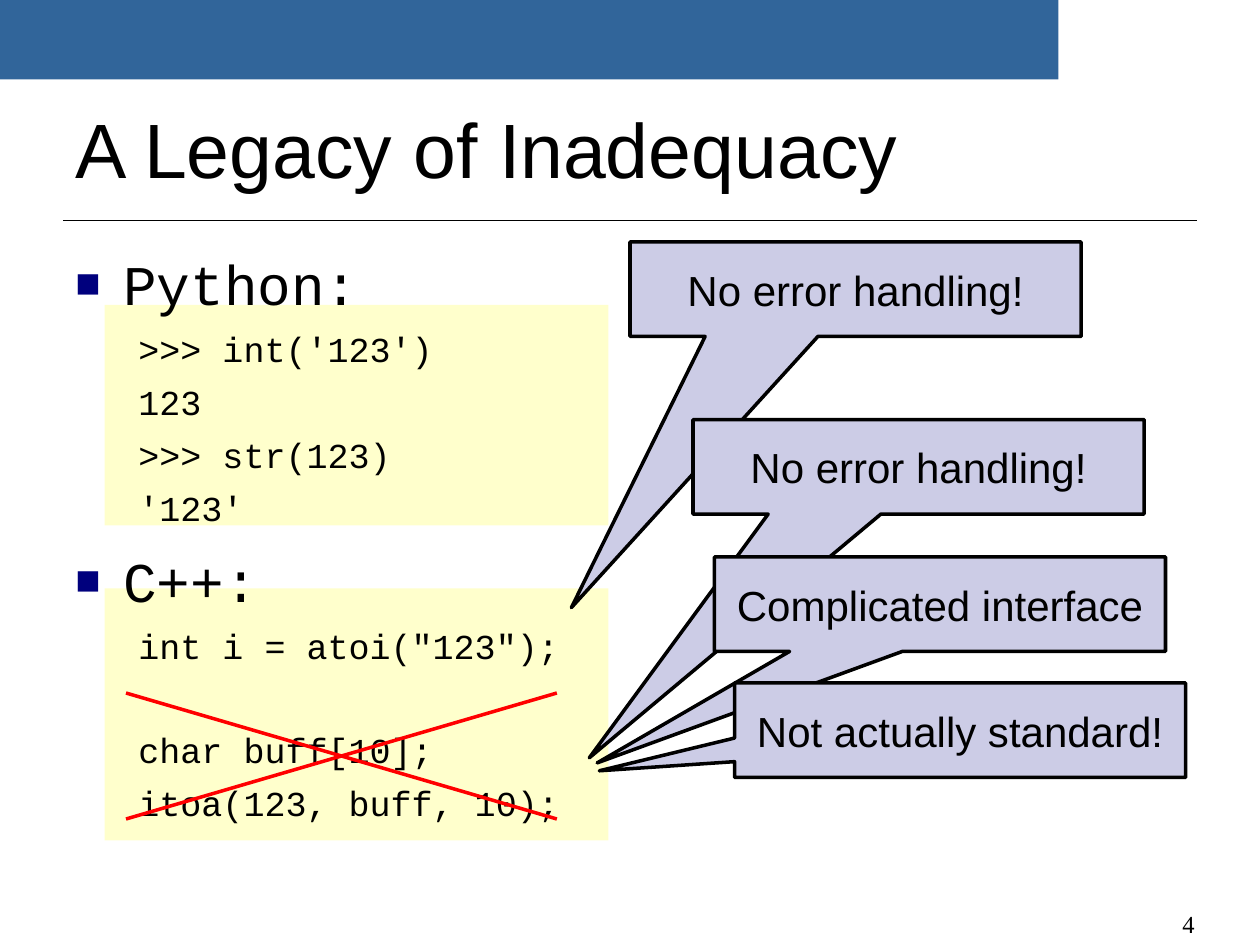
import pptx
import pptx.dml.color
import pptx.enum.shapes
import pptx.enum.text
import pptx.oxml.ns
import pptx.util
from pptx.util import Inches

SHAPE = pptx.enum.shapes.MSO_SHAPE
ALIGN = pptx.enum.text.PP_ALIGN
ANCHOR = pptx.enum.text.MSO_ANCHOR
BLACK = "000000"
LABEL = {"size": 32, "name": "Courier New"}
CODE = {"size": 20, "name": "Courier New"}
CODE_GAP = 6.3
CODE_LINE = 29

# Kind of line, text, space before in points
LISTING = [
    ("label", "Python:", 0),
    ("code", ">>> int('123')", CODE_GAP),
    ("code", "123", CODE_GAP),
    ("code", ">>> str(123)", CODE_GAP),
    ("code", "'123'", CODE_GAP),
    ("label", "C++:", 10),
    ("code", 'int i = atoi("123");', CODE_GAP),
    ("code", "char buff[10];", CODE_GAP + CODE_LINE),
    ("code", "itoa(123, buff, 10);", CODE_GAP),
]

# Text, left, top, and pointer tip relative to the callout's centre
CALLOUTS = [
    ("No error handling!", 5, 1.92, (-0.63, 3.37)),
    ("No error handling!", 5.5, 3.33, (-0.73, 3.08)),
    ("Complicated interface", 5.67, 4.42, (-0.76, 1.68)),
    ("Not actually standard!", 5.83, 5.42, (-0.8, 0.43)),
]


def rgb(value):
    return pptx.dml.color.RGBColor.from_string(value)


def set_font(p, size, name, color=BLACK):
    values = {"size": pptx.util.Pt(size), "name": name, "bold": False}
    for r in p.runs:
        for key, value in values.items():
            setattr(r.font, key, value)
        r.font.color.rgb = rgb(color)


def write(sp, text, size, name, align, anchor):
    tf = sp.text_frame
    frame = {"text": text, "word_wrap": True, "vertical_anchor": anchor,
             "auto_size": pptx.enum.text.MSO_AUTO_SIZE.NONE}
    for key, value in frame.items():
        setattr(tf, key, value)
    p = tf.paragraphs[0]
    p.alignment = align
    set_font(p, size, name)


def add_panel(s, kind, box, fill, line=None):
    sp = s.shapes.add_shape(kind, *map(Inches, box))
    sp.shadow.inherit = False
    sp.fill.solid()
    sp.fill.fore_color.rgb = rgb(fill)
    if line:
        sp.line.color.rgb = rgb(line)
        sp.line.width = pptx.util.Pt(2)
    else:
        sp.line.fill.background()
    return sp


def add_line(s, start, end, color, width):
    ln = s.shapes.add_connector(pptx.enum.shapes.MSO_CONNECTOR.STRAIGHT,
                                *map(Inches, start + end))
    ln.line.color.rgb = rgb(color)
    ln.line.width = pptx.util.Pt(width)
    props = ln._element.spPr
    props.append(props.makeelement(pptx.oxml.ns.qn("a:effectLst"), {}))


def add_title(s, text):
    sp = s.shapes.title
    place = {"left": 0.5, "top": 0.67, "width": 9, "height": 1}
    for key, value in place.items():
        setattr(sp, key, Inches(value))
    write(sp, text, 44, "Arial", ALIGN.LEFT, ANCHOR.MIDDLE)


def set_indent(p, margin, hanging, bullet=None):
    """Indent a paragraph in inches, with a small square bullet if given."""
    props = p._p.get_or_add_pPr()
    props.set("marL", str(Inches(margin)))
    props.set("indent", str(-Inches(hanging)))
    if bullet:
        parts = [("a:buClr", {}), ("a:buSzPct", {"val": "75000"}),
                 ("a:buFont", {"typeface": "Arial"}), ("a:buChar", {"char": bullet})]
    else:
        parts = [("a:buNone", {})]
    for tag, attributes in parts:
        part = props.makeelement(pptx.oxml.ns.qn(tag), attributes)
        props.append(part)
        if tag == "a:buClr":
            part.append(part.makeelement(pptx.oxml.ns.qn("a:srgbClr"), {"val": "00007D"}))


def add_listing(s, lines):
    tf = s.shapes.add_textbox(*map(Inches, (0.5, 1.83, 9.08, 5.17))).text_frame
    tf.word_wrap = True
    tf.margin_top = Inches(0.15)
    for i, (kind, text, gap) in enumerate(lines):
        p = tf.add_paragraph() if i else tf.paragraphs[0]
        p.text = text
        if kind == "label":
            set_indent(p, 0.38, 0.38, "■")
            set_font(p, **LABEL)
        else:
            p.level = 1
            set_indent(p, 0.81, 0.31)
            set_font(p, **CODE)
        p.space_before = pptx.util.Pt(gap)


def add_callout(s, text, left, top, tip):
    sp = add_panel(s, SHAPE.RECTANGULAR_CALLOUT, (left, top, 3.58, 0.75), "CCCCE6", BLACK)
    sp.adjustments[0], sp.adjustments[1] = tip
    write(sp, text, 24, "Arial", ALIGN.CENTER, ANCHOR.MIDDLE)


def add_cross(s, left, top, right, bottom):
    add_line(s, (left, bottom), (right, top), "FF0000", 2)
    add_line(s, (right, bottom), (left, top), "FF0000", 2)


def add_page_number(s, number):
    sp = s.shapes.add_textbox(*map(Inches, (8.25, 6.98, 1.33, 0.52)))
    write(sp, number, 14, "Times New Roman", ALIGN.RIGHT, ANCHOR.BOTTOM)


def main():
    prs = pptx.Presentation()
    prs.slide_width, prs.slide_height = Inches(10), Inches(7.5)
    s = prs.slides.add_slide(prs.slide_layouts.get_by_name("Title Only"))
    add_line(s, (0.5, 1.75), (9.5, 1.75), BLACK, 0.75)
    add_panel(s, SHAPE.RECTANGLE, (0, 0, 8.4, 0.63), "31659A")
    for top, height in ((2.42, 1.75), (4.67, 2)):
        add_panel(s, SHAPE.RECTANGLE, (0.83, top, 4, height), "FFFFCC")
    add_title(s, "A Legacy of Inadequacy")
    add_listing(s, LISTING)
    for callout in CALLOUTS:
        add_callout(s, *callout)
    add_cross(s, 1, 5.5, 4.42, 6.5)
    add_page_number(s, "4")
    prs.save("out.pptx")


if __name__ == "__main__":
    main()
